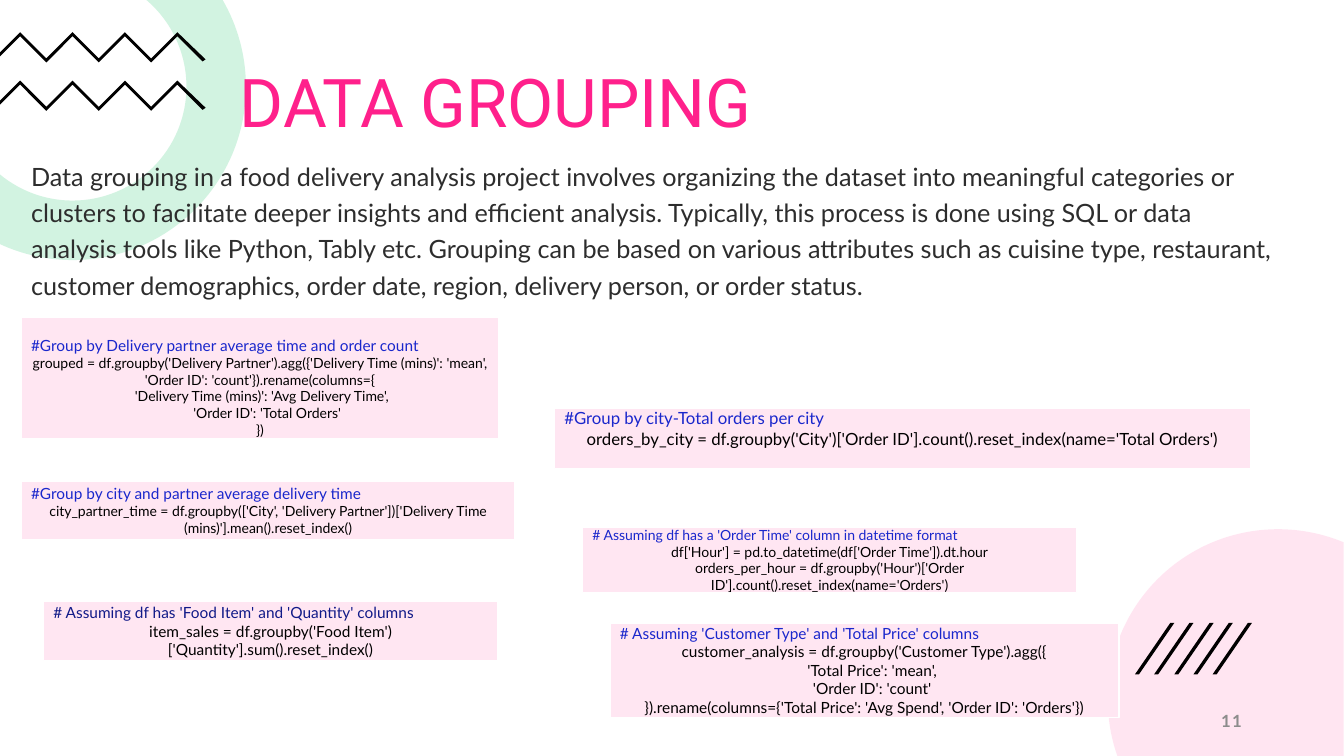
from dataclasses import dataclass
from math import acos, asin, ceil, cos, floor, pi, sin, tan

from lxml import etree
from pptx import Presentation
from pptx import util as u
from pptx.dml.color import RGBColor
from pptx.enum import shapes, text
from pptx.oxml.ns import qn

PX = 9144  # 100 px to the inch
WIDE, HIGH = 1333, 750

GREEN = RGBColor(0x21, 0xC4, 0x6B)
PINK = RGBColor(0xFF, 0x80, 0xBD)
PALE = RGBColor(0xFF, 0xE6, 0xF2)
ROSE = RGBColor(0xFF, 0x20, 0x8B)
BLUE = RGBColor(0x1A, 0x27, 0xCC)
NAVY = RGBColor(0x11, 0x1A, 0x88)
INK = RGBColor(0x2D, 0x2D, 0x2D)
GRAY = RGBColor(0x8C, 0x8C, 0x8C)
BLACK = RGBColor(0, 0, 0)
WHITE = RGBColor(0xFF, 0xFF, 0xFF)

# A step of an outline holds one point for a line, three for a curve
Steps = list[list[tuple[float, float]]]
LEFT, MID, RIGHT = text.PP_ALIGN.LEFT, text.PP_ALIGN.CENTER, text.PP_ALIGN.RIGHT
ANCHOR = text.MSO_ANCHOR


@dataclass
class Label:
    """A plain text box."""
    box: tuple[int, int, int, int]
    words: str
    size: int
    font: str
    color: RGBColor
    space: float = 1.0
    align: text.PP_ALIGN = LEFT
    anchor: text.MSO_ANCHOR = ANCHOR.TOP


@dataclass
class Code:
    """A panel with a comment line above centred code."""
    box: tuple[int, int, int, int]
    note: str
    lines: list[str]
    head: int
    size: int
    color: RGBColor = BLUE
    anchor: text.MSO_ANCHOR = ANCHOR.MIDDLE


TITLE = Label((228, 62, 882, 84), "DATA GROUPING", 48, "Roboto", ROSE, 0.9,
              anchor=ANCHOR.BOTTOM)
BODY = Label(
    (21, 149, 1259, 543),
    "Data grouping in a food delivery analysis project involves organizing the dataset "
    "into meaningful categories or clusters to facilitate deeper insights and efficient "
    "analysis. Typically, this process is done using SQL or data analysis tools like "
    "Python, Tably etc. Grouping can be based on various attributes such as cuisine "
    "type, restaurant, customer demographics, order date, region, delivery person, or "
    "order status.",
    18, "Lato", INK, 1.2)
PAGE = Label((942, 695, 300, 40), "11", 12, "Lato", GRAY, align=RIGHT,
             anchor=ANCHOR.MIDDLE)

CODES = [
    Code((21, 315, 474, 120), "#Group by Delivery partner average time and order count",
         ["grouped = df.groupby('Delivery Partner').agg({'Delivery Time (mins)': 'mean', "
          "'Order ID': 'count'}).rename(columns={",
          " 'Delivery Time (mins)': 'Avg Delivery Time',",
          "    'Order ID': 'Total Orders'",
          "})"], 11, 10, anchor=ANCHOR.BOTTOM),
    Code((550, 405, 691, 60), "#Group by city-Total orders per city",
         ["orders_by_city = df.groupby('City')['Order ID'].count()"
          ".reset_index(name='Total Orders')"], 12, 12, anchor=ANCHOR.TOP),
    Code((21, 477, 490, 58), "#Group by city and partner average delivery time",
         ["city_partner_time = df.groupby(['City', 'Delivery Partner'])"
          "['Delivery Time (mins)'].mean().reset_index()"], 11, 10),
    Code((578, 523, 490, 65), "# Assuming df has a 'Order Time' column in datetime format",
         ["df['Hour'] = pd.to_datetime(df['Order Time']).dt.hour",
          "orders_per_hour = df.groupby('Hour')['Order ID'].count()"
          ".reset_index(name='Orders')"], 10, 10),
    Code((43, 597, 451, 58), "# Assuming df has 'Food Item' and 'Quantity' columns",
         ["item_sales = df.groupby('Food Item')['Quantity'].sum().reset_index()"],
         11, 11, NAVY),
    Code((605, 618, 505, 94), "# Assuming 'Customer Type' and 'Total Price' columns",
         ["customer_analysis = df.groupby('Customer Type').agg({",
          "    'Total Price': 'mean',",
          "    'Order ID': 'count'",
          "}).rename(columns={'Total Price': 'Avg Spend', 'Order ID': 'Orders'})"], 11, 11),
]


def arc(x: int, y: int, r: int, start: float, end: float) -> Steps:
    """Circle arc as curves that break at each quarter turn."""
    low, high = sorted((start, end))
    turns = [i * pi / 2 for i in range(ceil(low * 2 / pi), floor(high * 2 / pi) + 1)]
    knots = sorted([low, *turns, high], reverse=start > end)

    def spot(t: float, pull: float = 0) -> tuple[float, float]:
        return x + r * (cos(t) - pull * sin(t)), y + r * (sin(t) + pull * cos(t))

    steps = [[spot(start)]]
    for a, b in zip(knots, knots[1:]):
        pull = 4 / 3 * tan((b - a) / 4)
        steps.append([spot(a, pull), spot(b, -pull), spot(b)])
    return steps


def ring(x: int, y: int, outer: int, inner: int) -> Steps:
    """Ring cut off by the top and left slide edges."""
    def cut(r: int) -> tuple[float, float]:
        return asin(-y / r), acos(-x / r)
    top, side = cut(inner)
    return arc(x, y, outer, *cut(outer)) + arc(x, y, inner, side, top)


def disc(x: int, y: int, r: int) -> Steps:
    """Disc cut off by the bottom and right slide edges."""
    low = pi - asin((HIGH - y) / r)
    side = 2 * pi - acos((WIDE - x) / r)
    return arc(x, y, r, low, side) + [[(WIDE, HIGH)]]


def zigzag(top: int) -> Steps:
    peaks = [(20 + 26 * i, top + 26 * (i % 2)) for i in range(7)]
    under = [(x, y + 4) for x, y in reversed(peaks)]
    tips = [(204, top + 27), (201, top + 29)]
    return [[p] for p in peaks + tips + under + [(0, top + 24), (0, top + 20)]]


def slash(x: int) -> Steps:
    return [[(x + 4, 669)], [(x, 669)], [(x + 35, 618)], [(x + 39, 618)]]


def draw(slide, steps: Steps, color: RGBColor, alpha: int = 100) -> None:
    first, *rest = [(round(x * PX), round(y * PX)) for step in steps for x, y in step]
    form = slide.shapes.build_freeform(*first, scale=1.0)
    form.add_line_segments(rest, close=True)
    shape = form.convert_to_shape()
    # Merge the three points of each curve
    lines = iter(shape._element.findall(".//" + qn("a:lnTo")))
    for step in steps[1:]:
        head, *more = [next(lines) for _ in step]
        if more:
            head.tag = qn("a:cubicBezTo")
        for line in more:
            head.append(line[0])
            line.getparent().remove(line)
    shape.shadow.inherit = False
    shape.fill.solid()
    shape.fill.fore_color.rgb = color
    shape.line.fill.background()
    if alpha < 100:
        tone = shape.fill._xPr.find(".//" + qn("a:srgbClr"))
        etree.SubElement(tone, qn("a:alpha")).set("val", str(alpha * 1000))


def style(para, size: int, font: str, color: RGBColor, align: text.PP_ALIGN) -> None:
    para.alignment = align
    for run in para.runs:
        run.font.size = u.Pt(size)
        run.font.name = font
        run.font.color.rgb = color


def write(slide, label: Label):
    frame = slide.shapes.add_textbox(*[n * PX for n in label.box]).text_frame
    frame.word_wrap = True
    frame.vertical_anchor = label.anchor
    frame.text = label.words
    para = frame.paragraphs[0]
    para.line_spacing = label.space
    style(para, label.size, label.font, label.color, label.align)
    return para.runs[0]


def panel(slide, code: Code) -> None:
    shape = slide.shapes.add_shape(shapes.MSO_SHAPE.RECTANGLE, *[n * PX for n in code.box])
    shape.shadow.inherit = False
    shape.fill.solid()
    shape.fill.fore_color.rgb = PALE
    shape.line.color.rgb = WHITE
    shape.line.width = u.Pt(1)
    frame = shape.text_frame
    frame.word_wrap = True
    frame.vertical_anchor = code.anchor
    frame.margin_top = frame.margin_bottom = 0
    frame.text = "\n".join([code.note] + code.lines)
    head, *rest = frame.paragraphs
    style(head, code.head, "Lato", code.color, LEFT)
    for para in rest:
        style(para, code.size, "Lato", BLACK, MID)


def main() -> None:
    deck = Presentation()
    deck.slide_width, deck.slide_height = u.Pt(960), u.Pt(540)
    slide = deck.slides.add_slide(deck.slide_layouts[6])
    # Corner decoration
    draw(slide, ring(72, 86, 172, 113), GREEN, 20)
    for top in (32, 80):
        draw(slide, zigzag(top), BLACK)
    for color, alpha in ((WHITE, 100), (PINK, 20)):
        draw(slide, disc(1268, 694, 169), color, alpha)
    # Title, body and page number
    write(slide, TITLE)
    write(slide, BODY)
    page = write(slide, PAGE)
    page.font.bold = True
    page._r.get_or_add_rPr().set("spc", "100")
    # Slashes and code panels
    for i in range(5):
        draw(slide, slash(1126 + round(19.3 * i)), BLACK)
    for code in CODES:
        panel(slide, code)
    deck.save("out.pptx")


if __name__ == "__main__":
    main()
